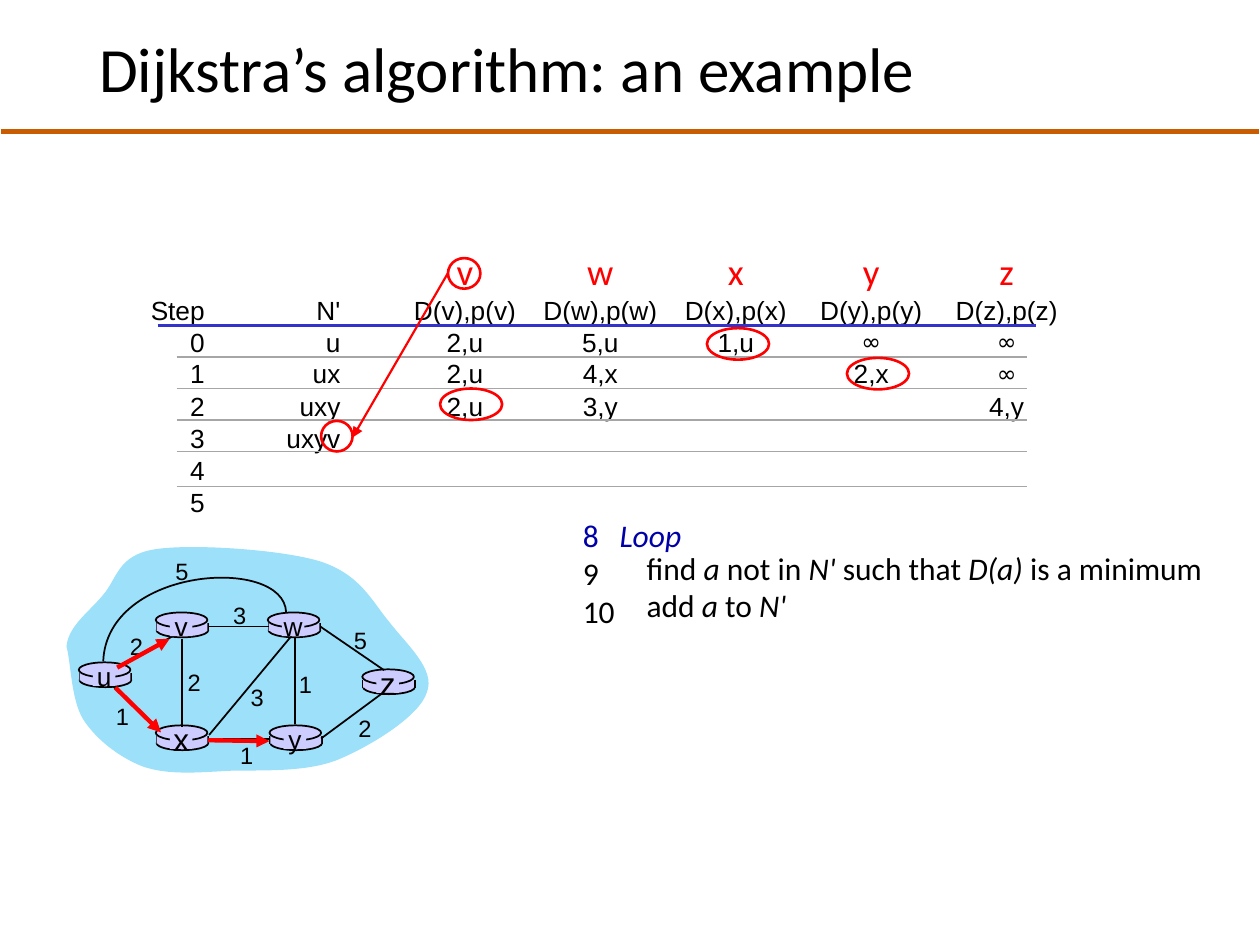
from dataclasses import dataclass

from lxml import etree
from pptx import Presentation
from pptx.dml.color import RGBColor
from pptx.enum.shapes import MSO_CONNECTOR, MSO_SHAPE
from pptx.enum.text import MSO_ANCHOR, PP_ALIGN
from pptx.oxml.ns import qn
from pptx.util import Pt

LEFT, CENTER, RIGHT = PP_ALIGN.LEFT, PP_ALIGN.CENTER, PP_ALIGN.RIGHT
MIDDLE = MSO_ANCHOR.MIDDLE
STRAIGHT = MSO_CONNECTOR.STRAIGHT
OVAL, RECT = MSO_SHAPE.OVAL, MSO_SHAPE.RECTANGLE


@dataclass(frozen=True)
class Theme:
    ink: str = "000000"
    red: str = "FF0000"
    rule: str = "C95B00"
    header: str = "3333CC"
    grid: str = "A6A6A6"
    code: str = "0000A8"
    cloud: str = "9CE0FA"
    router: str = "CCCCFF"
    title: float = 36
    node: float = 21
    large: float = 18
    cell: float = 15
    small: float = 13.5
    sans: str = "Calibri"
    plain: str = "Arial"
    symbol: str = "Comic Neue"


T = Theme()
NO_INSET = dict(margin_left=0, margin_right=0, margin_top=0, margin_bottom=0)


def assign(obj, **values):
    for name, value in values.items():
        setattr(obj, name, value)


def add_run(p, text, size, font, color=T.ink, italic=False):
    r = p.add_run()
    r.text = text
    assign(r.font, size=Pt(size), name=font, italic=italic, bold=False)
    r.font.color.rgb = RGBColor.from_string(color)


def paint(sp, fill=None, line=None, width=1):
    sp.shadow.inherit = False
    if fill:
        sp.fill.solid()
        sp.fill.fore_color.rgb = RGBColor.from_string(fill)
    else:
        sp.fill.background()
    if line:
        sp.line.color.rgb = RGBColor.from_string(line)
        sp.line.width = Pt(width)
    else:
        sp.line.fill.background()


def add_shape(slide, kind, x, y, w, h, **style):
    sp = slide.shapes.add_shape(kind, Pt(x), Pt(y), Pt(w), Pt(h))
    paint(sp, **style)
    return sp


def add_line(slide, x1, y1, x2, y2, color=T.ink, width=1, arrow=False):
    line = slide.shapes.add_connector(STRAIGHT, Pt(x1), Pt(y1), Pt(x2), Pt(y2))
    line.line.color.rgb = RGBColor.from_string(color)
    line.line.width = Pt(width)
    if arrow:
        etree.SubElement(line.line._get_or_add_ln(), qn("a:tailEnd"), type="triangle")
    etree.SubElement(line._element.spPr, qn("a:effectLst"))


def add_text(slide, x, y, w, h, **values):
    tf = slide.shapes.add_textbox(Pt(x), Pt(y), Pt(w), Pt(h)).text_frame
    assign(tf, **{**NO_INSET, "word_wrap": False, **values})
    return tf


def add_curve(slide, x, y, knots, close, **style):
    points = [(Pt(x + dx), Pt(y + dy)) for dx, dy in knots]
    builder = slide.shapes.build_freeform(*points[0])
    builder.add_line_segments(points[1:], close=close)
    sp = builder.convert_to_shape()
    segments = list(sp._element.iter(qn("a:lnTo")))
    for i in range(0, len(knots) - 1, 3):
        curve = etree.Element(qn("a:cubicBezTo"))
        segments[i].addprevious(curve)
        for segment in segments[i:i + 3]:
            curve.append(segment[0])
            segment.getparent().remove(segment)
    paint(sp, **style)


def add_title(slide, x, y, w, h):
    sp = slide.shapes.title
    assign(sp, left=Pt(x), top=Pt(y), width=Pt(w), height=Pt(h))
    sp.text_frame.vertical_anchor = MIDDLE
    p = sp.text_frame.paragraphs[0]
    assign(p, alignment=LEFT, line_spacing=0.9)
    add_run(p, "Dijkstra’s algorithm: an example", T.title, T.sans)
    add_line(slide, 0.5, 75, 719.5, 75, T.rule, 3)


def add_steps(slide, x, y):
    nodes = "vwxyz"
    rows = [
        ["", "", *nodes],
        ["Step", "N'", *(f"D({n}),p({n})" for n in nodes)],
        ["0", "u", "2,u", "5,u", "1,u", "∞", "∞"],
        ["1", "ux", "2,u", "4,x", "", "2,x", "∞"],
        ["2", "uxy", "2,u", "3,y", "", "", "4,y"],
        ["3", "uxyv", "", "", "", "", ""],
        ["4", "", "", "", "", "", ""],
        ["5", "", "", "", "", "", ""],
    ]
    widths = [38, 105] + [77.4] * 5
    heights = [26.5] + [18] * 7
    table = slide.shapes.add_table(len(rows), len(widths), Pt(x), Pt(y),
                                   Pt(sum(widths)), Pt(sum(heights))).table
    assign(table, first_row=False, horz_banding=False)
    for col, width in zip(table.columns, widths):
        col.width = Pt(width)
    for i, (row, height) in enumerate(zip(rows, heights)):
        table.rows[i].height = Pt(height)
        for j, text in enumerate(row):
            cell = table.cell(i, j)
            inset = (5, 32.5, 0)[min(j, 2)]
            assign(cell, **{**NO_INSET, "margin_right": Pt(inset), "vertical_anchor": MIDDLE})
            cell.fill.background()
            p = cell.text_frame.paragraphs[0]
            p.alignment = RIGHT if j < 2 else CENTER
            if not text:
                p._p.get_or_add_endParaRPr().set("sz", str(int(T.cell * 100)))
            elif i == 0:
                add_run(p, text, T.node, T.sans, T.red)
            elif text == "∞":
                add_run(p, text, T.small, T.symbol)
            else:
                add_run(p, text, T.cell, T.plain)
    add_line(slide, x + 6, y + 43.5, x + 508, y + 43.5, T.header, 2.25)
    for dy in (61.5, 79.5, 97.5, 115.5, 135.5):
        add_line(slide, x + 17, y + dy, x + 503, y + dy, T.grid)
    for dx, dy, w, h in [(320, 45, 35.5, 18), (400, 62, 35.5, 18), (167.5, 79.5, 35.5, 18),
                         (172, 5, 18.5, 17.5), (99.5, 98, 18, 17.5)]:
        add_shape(slide, OVAL, x + dx, y + dy, w, h, line=T.red, width=1.5)
    add_line(slide, x + 172, y + 13.5, x + 117.5, y + 107.5, T.red, 1.25, True)


def add_loop(slide, x, y):
    numbers = [[("8\t", False), ("Loop", True)], [("9", False)], [("10", False)]]
    actions = [
        [("find ", False), ("a", True), (" not in ", False), ("N' ", True),
         ("such that ", False), ("D(a) ", True), ("is a minimum", False)],
        [("add ", False), ("a", True), (" to ", False), ("N'", True)],
    ]
    for dx, dy, w, lines in [(0, 0, 62, numbers), (36.5, 18.5, 322, actions)]:
        tf = add_text(slide, x + dx, y + dy, w, 22 * len(lines))
        for i, line in enumerate(lines):
            p = tf.paragraphs[0] if i == 0 else tf.add_paragraph()
            first = lines is numbers and i == 0
            if first:
                tabs = etree.SubElement(p._p.get_or_add_pPr(), qn("a:tabLst"))
                etree.SubElement(tabs, qn("a:tab"), pos=str(Pt(21)), algn="l")
            for text, italic in line:
                add_run(p, text, T.large, T.sans, T.code if first else T.ink, italic)


def add_router(slide, x, y):
    add_shape(slide, OVAL, x + 0.5, y + 6.2, 29.5, 8, fill=T.router, line=T.ink)
    for dx in (0.5, 30):
        add_line(slide, x + dx, y + 6, x + dx, y + 10.5)
    add_shape(slide, RECT, x + 0.5, y + 6, 29, 4.5, fill=T.router)
    add_shape(slide, OVAL, x, y, 29.5, 8.5, fill=T.router, line=T.ink)


def add_network(slide, x, y):
    cloud = [(0, 59.5), (1, 48), (12.5, 40), (20.5, 30.5), (29, 21), (29, 7.5), (50, 4),
             (70.5, 0.5), (123.5, 4), (145.5, 11), (168, 18.5), (174.5, 33.5), (184.5, 45.5),
             (194.5, 58.5), (211, 72.5), (206, 85.5), (202, 99), (174.5, 116), (155.5, 124),
             (137, 131.5), (112, 130), (93, 130.5), (74.5, 131.5), (58, 133), (43.5, 128),
             (29.5, 122.5), (16.5, 112), (9.5, 101), (2.5, 89.5), (2.5, 68), (0, 59.5)]
    arc = [(125.5, 40), (124.5, 7.5), (23, 13.5), (21, 68)]
    routers = {"u": (7, 68.5, T.cell), "y": (116, 104.5, T.cell), "x": (51, 104.5, T.large),
               "w": (115, 40, T.cell), "v": (51, 40, T.cell), "z": (169, 72.5, T.large)}
    edges = [(32, 69.5, 63.5, 52), (130.5, 54.5, 130.5, 103.5), (66, 55, 66, 105.5),
             (81.5, 110, 128.5, 53.5), (145.5, 112, 180, 86.5), (82, 112.5, 116, 112.5),
             (27, 82.5, 52.5, 107.5), (81.5, 48, 115.5, 48), (145, 48, 181.5, 73)]
    tree = [(28, 83, 54, 108.5), (81, 113, 116, 113.5), (29, 71.5, 59, 55)]
    costs = [("2", 40, 59), ("2", 73, 79.5), ("1", 32, 99), ("3", 109, 88.5), ("1", 103, 121.5),
             ("1", 136.5, 81), ("2", 170.5, 106), ("5", 168, 55.5), ("3", 99, 41.5),
             ("5", 66, 16.5)]
    add_curve(slide, x, y, cloud, True, fill=T.cloud)
    for dx, dy, _ in routers.values():
        add_router(slide, x + dx, y + dy)
    for x1, y1, x2, y2 in edges:
        add_line(slide, x + x1, y + y1, x + x2, y + y2)
    add_curve(slide, x, y, arc, False, line=T.ink)
    for name, (dx, dy, size) in routers.items():
        tf = add_shape(slide, RECT, x + dx + 8, y + dy + 1.5, 13, 12, fill=T.router).text_frame
        assign(tf, **NO_INSET, word_wrap=False, vertical_anchor=MIDDLE)
        tf.paragraphs[0].alignment = CENTER
        add_run(tf.paragraphs[0], name, size, T.plain)
    for cost, dx, dy in costs:
        tf = add_text(slide, x + dx - 11, y + dy - 8, 22, 16, vertical_anchor=MIDDLE)
        tf.paragraphs[0].alignment = CENTER
        add_run(tf.paragraphs[0], cost, T.small, T.plain)
    for x1, y1, x2, y2 in tree:
        add_line(slide, x + x1, y + y1, x + x2, y + y2, T.red, 2.5, True)


def main():
    prs = Presentation()
    assign(prs, slide_width=Pt(720), slide_height=Pt(540))
    slide = prs.slides.add_slide(prs.slide_layouts[5])
    add_title(slide, 49.5, 10.5, 571, 61)
    add_steps(slide, 84, 142.5)
    add_loop(slide, 333, 295)
    add_network(slide, 38, 310)
    prs.save("out.pptx")


if __name__ == "__main__":
    main()
